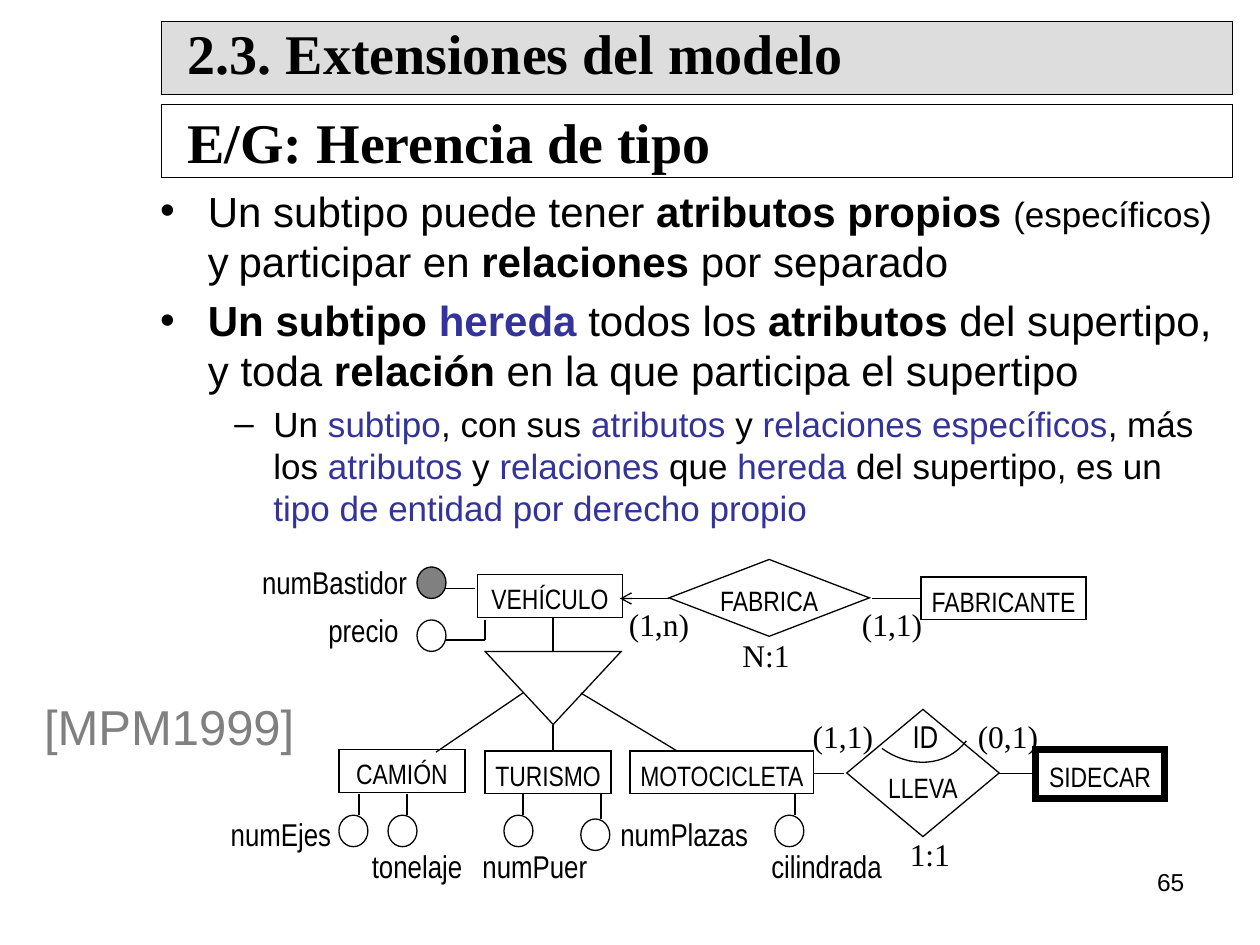
from lxml.etree import SubElement
from pptx import Presentation
from pptx.dml.color import RGBColor
from pptx.enum.shapes import MSO_CONNECTOR, MSO_SHAPE
from pptx.enum.text import MSO_ANCHOR, MSO_AUTO_SIZE, PP_ALIGN
from pptx.oxml.ns import qn
from pptx.util import Inches, Pt

THEME = {
    "black": "000000", "accent": "333399", "gray": "808080",
    "white": "FFFFFF", "banner": "DDDDDD",
    "sans": "Arial", "narrow": "Arial Narrow", "serif": "Times New Roman",
    "heading": 32, "citation": 28, "bullet": 24, "detail": 20,
    "label": 18, "node": 16, "number": 14, "line": 0.75, "weak": 4,
}

TITLE = ("2.3. Extensiones del modelo", (1.28, 0.17, 8.5, 0.58))
SUBTITLE = ("E/G: Herencia de tipo", (1.28, 0.83, 8.5, 0.58))
BODY_BOX = (1.17, 1.42, 8.58, 2.83)

# Level, then runs with marks: b = bold, a = accent colour, s = smaller
BULLETS = [
    (0, [("Un subtipo puede tener ", ""), ("atributos propios ", "b"),
         ("(específicos)", "s"), (" y", ""), (" ", "s"), ("participar en ", ""),
         ("relaciones", "b"), (" por separado", "")]),
    (0, [("Un subtipo ", "b"), ("hereda ", "ba"), ("todos los ", ""),
         ("atributos", "b"), (" del supertipo, y toda ", ""),
         ("relación", "b"), (" en la que participa el supertipo", "")]),
    (1, [("Un ", ""), ("subtipo", "a"), (", con sus ", ""), ("atributos", "a"),
         (" y ", ""), ("relaciones específicos", "a"), (", más los ", ""),
         ("atributos", "a"), (" y ", ""), ("relaciones", "a"), (" que ", ""),
         ("hereda", "a"), (" del supertipo, es un ", ""),
         ("tipo de entidad por derecho propio", "a")]),
]
LEVELS = [(0.38, -0.38, "bullet"), (0.9, -0.31, "detail")]

# Text, box, fill, line width
ENTITIES = [
    ("VEHÍCULO", (3.79, 4.56, 1.15, 0.34), None, "line"),
    ("FABRICANTE", (7.31, 4.58, 1.31, 0.34), None, "line"),
    ("CAMIÓN", (2.69, 5.95, 1, 0.34), None, "line"),
    ("TURISMO", (3.85, 5.96, 1, 0.34), "white", "line"),
    ("MOTOCICLETA", (5, 5.96, 1.46, 0.34), "white", "line"),
    ("SIDECAR", (8.22, 5.95, 1.02, 0.39), None, "weak"),
]
# Text, box, top inset
RELATIONSHIPS = [
    ("FABRICA", (5.31, 4.44, 1.59, 0.61), 0.05),
    ("LLEVA", (6.72, 5.63, 1.21, 1.01), 0.24),
]
INHERITANCE_BOX = (3.85, 5.17, 1.08, 0.58)

# Attribute name, label box, circle corner, fill
ATTRIBUTES = [
    ("numBastidor", (2.03, 4.42, 1.25, 0.36), (3.31, 4.5), "gray"),
    ("precio", (2.46, 4.8, 0.85, 0.36), (3.31, 4.92), "white"),
    ("numEjes", (1.78, 6.42, 0.9, 0.36), (2.69, 6.47), "white"),
    ("tonelaje", (2.9, 6.67, 0.82, 0.36), (3.08, 6.47), "white"),
    ("numPuer", (3.78, 6.67, 0.93, 0.36), (4, 6.47), "white"),
    ("numPlazas", (4.87, 6.42, 1.12, 0.36), (4.61, 6.5), "white"),
    ("cilindrada", (6.07, 6.67, 0.98, 0.36), (6.15, 6.47), "white"),
]
CIRCLE_SIZE = (0.23, 0.25)
CARDINALITIES = [
    ("(1,n)", (4.99, 4.75, 0.48, 0.36)), ("(1,1)", (6.84, 4.75, 0.48, 0.36)),
    ("N:1", (5.85, 5, 0.46, 0.36)), ("(1,1)", (6.45, 5.64, 0.48, 0.36)),
    ("(0,1)", (7.76, 5.64, 0.48, 0.36)), ("1:1", (7.22, 6.58, 0.32, 0.36)),
]
ARROW = ((4.92, 4.75), (5.31, 4.75))
LINKS = [
    ((6.92, 4.75), (7.31, 4.75)), ((6.39, 6.14), (6.7, 6.14)),
    ((7.92, 6.14), (8.23, 6.14)),
    ((4.39, 4.9), (4.39, 5.17)), ((4.39, 5.75), (4.39, 6)),
    ((4.15, 5.5), (3.46, 5.97)), ((4.61, 5.5), (5.39, 5.97)),
    ((3.46, 4.67), (3.77, 4.67)), ((3.54, 5.08), (3.85, 5.08)),
    ((3.85, 4.92), (3.85, 5.08)), ((4.77, 6.25), (4.77, 6.5)),
] + [((x, 6.3), (x, 6.47)) for x in (2.85, 3.23, 4.15, 6.31)]
ID_ARC = [(7, 5.94), (7.22, 6.1), (7.51, 6.09), (7.67, 5.88)]


def color(key):
    return RGBColor.from_string(THEME[key])


def inches(values):
    return [Inches(value) for value in values]


def style_font(font, face, size, tint="black", bold=None):
    font.name, font.size, font.bold = THEME[face], Pt(THEME[size]), bold
    font.color.rgb = color(tint)


def stroke(shape, width="line"):
    """Draw a black line and return its XML element."""
    shape.line.color.rgb = color("black")
    shape.line.width = Pt(THEME[width])
    return shape._element.spPr.find(qn("a:ln"))


def outline(shape, fill=None, width="line"):
    if fill:
        shape.fill.solid()
        shape.fill.fore_color.rgb = color(fill)
    else:
        shape.fill.background()
    SubElement(stroke(shape, width), qn("a:miter"), lim="800000")


def add_outlined(slide, preset, box, fill=None, width="line"):
    shape = slide.shapes.add_shape(preset, *inches(box))
    shape.shadow.inherit = False
    outline(shape, fill, width)
    return shape


def write(shape, text, face, size, tint="black", align=PP_ALIGN.CENTER, top=0.05):
    """Put one unwrapped line in a shape with tight insets."""
    frame = shape.text_frame
    frame.word_wrap = False
    frame.margin_left = frame.margin_right = 0
    frame.margin_top, frame.margin_bottom = Inches(top), Inches(0.01)
    paragraph = frame.paragraphs[0]
    paragraph.text, paragraph.alignment = text, align
    style_font(paragraph.font, face, size, tint)


def add_label(slide, text, box, *style, **options):
    label = slide.shapes.add_textbox(*inches(box))
    write(label, text, *style, **options)
    label.text_frame.auto_size = MSO_AUTO_SIZE.SHAPE_TO_FIT_TEXT


def add_link(slide, start, end, arrow=False):
    link = slide.shapes.add_connector(MSO_CONNECTOR.STRAIGHT, *inches(start + end))
    line = stroke(link)
    if arrow:
        SubElement(line, qn("a:headEnd"), type="arrow")
    SubElement(link._element.spPr, qn("a:effectLst"))


def indent(paragraph, left, first):
    properties = paragraph._p.get_or_add_pPr()
    properties.set("marL", str(Inches(left)))
    properties.set("indent", str(Inches(first)))


def place(placeholder, box):
    placeholder.left, placeholder.top, placeholder.width, placeholder.height = inches(box)
    placeholder.text_frame.auto_size = MSO_AUTO_SIZE.NONE


def set_heading(shape, text, spacing):
    shape.text_frame.word_wrap = True
    shape.text_frame.vertical_anchor = MSO_ANCHOR.MIDDLE
    paragraph = shape.text_frame.paragraphs[0]
    paragraph.text, paragraph.alignment = text, PP_ALIGN.LEFT
    paragraph.line_spacing = spacing
    indent(paragraph, 0.11, 0)
    style_font(paragraph.font, "serif", "heading", bold=True)


def fill_body(body):
    place(body, BODY_BOX)
    frame = body.text_frame
    for index, (level, runs) in enumerate(BULLETS):
        paragraph = frame.add_paragraph() if index else frame.paragraphs[0]
        left, first, size = LEVELS[level]
        paragraph.level = level
        indent(paragraph, left, first)
        if not index:
            paragraph.space_before = Pt(0)
        style_font(paragraph.font, "sans", size)
        for text, marks in runs:
            run = paragraph.add_run()
            run.text = text
            style_font(run.font, "sans", "detail" if "s" in marks else size,
                       "accent" if "a" in marks else "black", "b" in marks)


def add_arc(slide, steps=16):
    """Trace the cubic curve of ID_ARC with short segments."""
    points = []
    for step in range(steps + 1):
        t = step / steps
        weights = ((1 - t) ** 3, 3 * t * (1 - t) ** 2, 3 * t * t * (1 - t), t ** 3)
        points.append([Inches(sum(w * p[axis] for w, p in zip(weights, ID_ARC)))
                       for axis in (0, 1)])
    builder = slide.shapes.build_freeform(*points[0])
    builder.add_line_segments(points[1:], close=False)
    arc = builder.convert_to_shape()
    arc.shadow.inherit = False
    outline(arc)


def main():
    deck = Presentation()
    deck.slide_width, deck.slide_height = Inches(10), Inches(7.5)
    slide = deck.slides.add_slide(deck.slide_layouts[1])
    title, body = slide.placeholders

    place(title, TITLE[1])
    outline(title, "banner")
    set_heading(title, TITLE[0], 0.8)
    set_heading(add_outlined(slide, MSO_SHAPE.RECTANGLE, SUBTITLE[1]), SUBTITLE[0], 1)
    fill_body(body)

    add_link(slide, *ARROW, arrow=True)
    for start, end in LINKS:
        add_link(slide, start, end)
    add_outlined(slide, MSO_SHAPE.ISOSCELES_TRIANGLE, INHERITANCE_BOX).rotation = 180
    for text, box, fill, width in ENTITIES:
        write(add_outlined(slide, MSO_SHAPE.RECTANGLE, box, fill, width),
              text, "narrow", "node")
    for text, box, top in RELATIONSHIPS:
        write(add_outlined(slide, MSO_SHAPE.DIAMOND, box), text, "narrow", "node", top=top)
    for text, box, corner, fill in ATTRIBUTES:
        add_outlined(slide, MSO_SHAPE.OVAL, corner + CIRCLE_SIZE, fill)
        add_label(slide, text, box, "narrow", "label")
    for text, box in CARDINALITIES:
        add_label(slide, text, box, "serif", "label")
    add_arc(slide)
    add_label(slide, "ID", (7.23, 5.64, 0.23, 0.36), "narrow", "label")
    add_label(slide, "[MPM1999]", (0.35, 5.48, 1.99, 0.53), "sans", "citation", "gray",
              align=PP_ALIGN.LEFT)
    add_label(slide, "65", (9.18, 6.83, 0.22, 0.52), "sans", "number",
              align=PP_ALIGN.RIGHT)
    deck.save("out.pptx")


if __name__ == "__main__":
    main()
